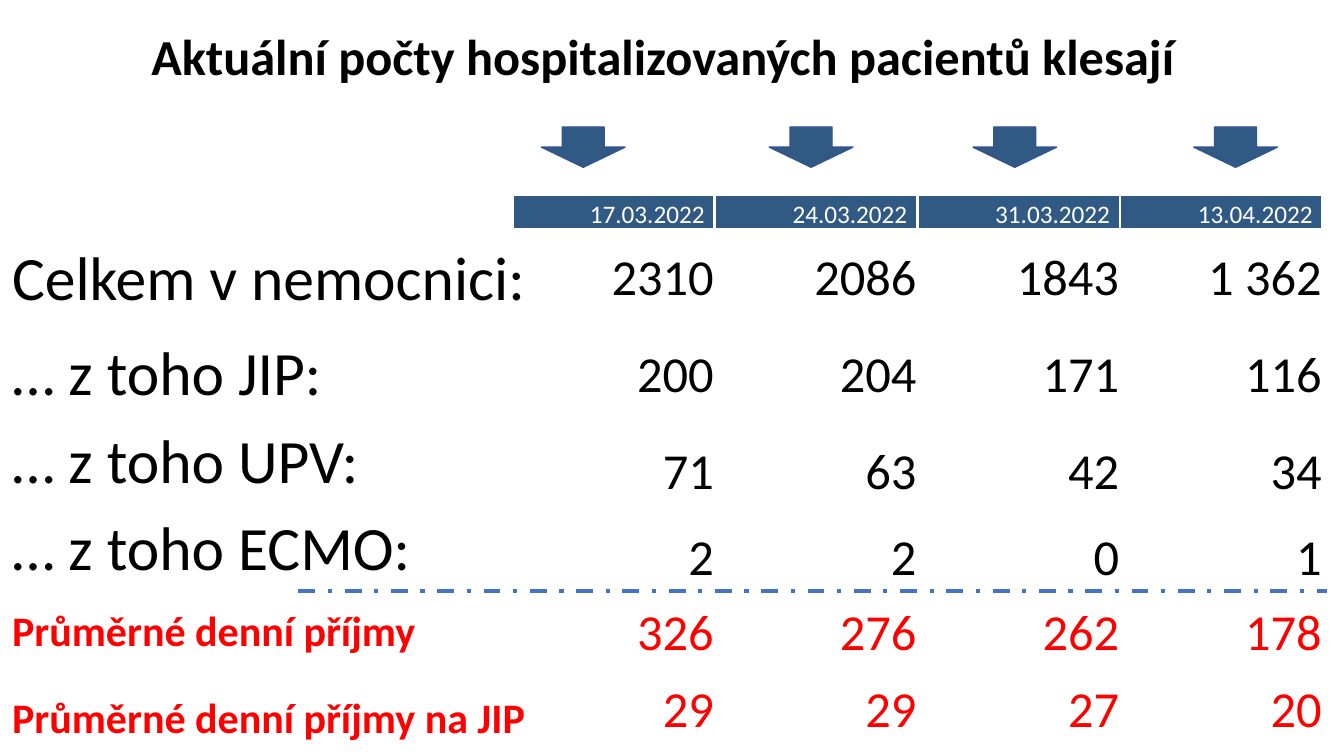
from dataclasses import dataclass

from lxml.etree import SubElement
from pptx import Presentation
from pptx.dml.color import RGBColor
from pptx.enum.dml import MSO_LINE
from pptx.enum.shapes import MSO_CONNECTOR, MSO_SHAPE
from pptx.enum.text import MSO_ANCHOR, PP_ALIGN
from pptx.oxml.ns import qn
from pptx.util import Emu, Pt

PX = 9144  # 100 px to the inch
PLAIN_TABLE = "{2D5ABB26-0587-4C30-8999-92F81FD0307C}"


@dataclass(frozen=True)
class Theme:
    font: str = "Calibri"
    black: str = "000000"
    white: str = "FFFFFF"
    red: str = "FF0000"
    navy: str = "305983"
    arrow_edge: str = "325491"
    divider: str = "4472C4"
    title: int = 36
    date: int = 18
    number: int = 36
    label: int = 44
    intake: int = 30


THEME = Theme()

DATES = ["17.03.2022", "24.03.2022", "31.03.2022", "13.04.2022"]
HOSPITAL_COUNTS = [
    ["2310", "2086", "1843", "1 362"],
    ["200", "204", "171", "116"],
    ["71", "63", "42", "34"],
    ["2", "2", "0", "1"],
]
DAILY_INTAKE = [
    ["326", "276", "262", "178"],
    ["29", "29", "27", "20"],
]
HOSPITAL_LABELS = ["Celkem v nemocnici:", "… z toho JIP:", "… z toho UPV:", "… z toho ECMO:"]
INTAKE_LABELS = ["Průměrné denní příjmy", "Průměrné denní příjmy na JIP"]


def px(n):
    return Emu(n * PX)


def rgb(value):
    return RGBColor.from_string(value)


def write(tf, text, size, color=THEME.black, bold=False, align=PP_ALIGN.LEFT):
    p = tf.paragraphs[0]
    p.alignment = align
    r = p.add_run()
    r.text = text
    r.font.name = THEME.font
    r.font.size = Pt(size)
    r.font.bold = bold
    r.font.color.rgb = rgb(color)


def add_plain_table(slide, left, top, col_widths, row_heights):
    """Add a table without style, grid or banding."""
    frame = slide.shapes.add_table(len(row_heights), len(col_widths), px(left), px(top),
                                   px(sum(col_widths)), px(sum(row_heights)))
    table = frame.table
    table.first_row = table.horz_banding = False
    table._tbl.tblPr.find(qn("a:tableStyleId")).text = PLAIN_TABLE
    for column, width in zip(table.columns, col_widths):
        column.width = px(width)
    for row, height in zip(table.rows, row_heights):
        row.height = px(height)
    return table


def fill_cell(cell, text, size, anchor=MSO_ANCHOR.MIDDLE, right=1, **text_format):
    cell.margin_left = cell.margin_top = px(1)
    cell.margin_right, cell.margin_bottom = px(right), px(0)
    cell.vertical_anchor = anchor
    cell.fill.background()
    write(cell.text_frame, text, size, **text_format)


def fill_date_cell(cell, date):
    fill_cell(cell, date, THEME.date, MSO_ANCHOR.BOTTOM, right=10,
              color=THEME.white, align=PP_ALIGN.RIGHT)
    cell.fill.solid()
    cell.fill.fore_color.rgb = rgb(THEME.navy)
    tcPr = cell._tc.get_or_add_tcPr()
    for i, side in enumerate(("a:lnL", "a:lnR", "a:lnT", "a:lnB")):
        ln = tcPr.makeelement(qn(side), {"w": str(Pt(2.25))})
        SubElement(SubElement(ln, qn("a:solidFill")), qn("a:srgbClr"), val=THEME.white)
        tcPr.insert(i, ln)


def add_counts_table(slide):
    table = add_plain_table(slide, 508, 193, [201] * 4, [35, 96, 96, 96, 74, 76, 76])
    for col, date in enumerate(DATES):
        fill_date_cell(table.cell(0, col), date)
    for row, counts in enumerate(HOSPITAL_COUNTS + DAILY_INTAKE, start=1):
        color = THEME.black if row <= len(HOSPITAL_COUNTS) else THEME.red
        for col, count in enumerate(counts):
            fill_cell(table.cell(row, col), count, THEME.number,
                      color=color, align=PP_ALIGN.RIGHT)


def add_labels_table(slide):
    table = add_plain_table(slide, 11, 228, [570], [87, 94, 87, 87, 87, 87])
    for row, label in enumerate(HOSPITAL_LABELS):
        fill_cell(table.cell(row, 0), label, THEME.label, MSO_ANCHOR.BOTTOM)
    for row, label in enumerate(INTAKE_LABELS, start=len(HOSPITAL_LABELS)):
        fill_cell(table.cell(row, 0), label, THEME.intake, color=THEME.red, bold=True)


def add_down_arrow(slide, left):
    sp = slide.shapes.add_shape(MSO_SHAPE.DOWN_ARROW, px(left), px(126), px(83), px(40))
    sp.shadow.inherit = False
    sp.fill.solid()
    sp.fill.fore_color.rgb = rgb(THEME.navy)
    sp.line.color.rgb = rgb(THEME.arrow_edge)
    sp.line.width = Pt(1)


def add_divider(slide, left, right, y):
    line = slide.shapes.add_connector(MSO_CONNECTOR.STRAIGHT, px(left), px(y), px(right), px(y))
    line.line.color.rgb = rgb(THEME.divider)
    line.line.width = Pt(3)
    line.line.dash_style = MSO_LINE.DASH_DOT
    SubElement(line._element.spPr, qn("a:effectLst"))


def set_title(slide, text):
    title = slide.shapes.title
    title.left, title.top, title.width, title.height = px(0), px(20), px(1316), px(71)
    title.text_frame.vertical_anchor = MSO_ANCHOR.TOP
    write(title.text_frame, text, THEME.title, bold=True, align=PP_ALIGN.CENTER)


def main():
    prs = Presentation()
    prs.slide_width, prs.slide_height = px(1333), px(750)
    slide = prs.slides.add_slide(prs.slide_layouts.get_by_name("Title Only"))
    set_title(slide, "Aktuální počty hospitalizovaných pacientů klesají")
    add_counts_table(slide)
    add_labels_table(slide)
    for left in (537, 763, 965, 1184):
        add_down_arrow(slide, left)
    add_divider(slide, 296, 1316, 586)
    prs.save("out.pptx")


if __name__ == "__main__":
    main()
